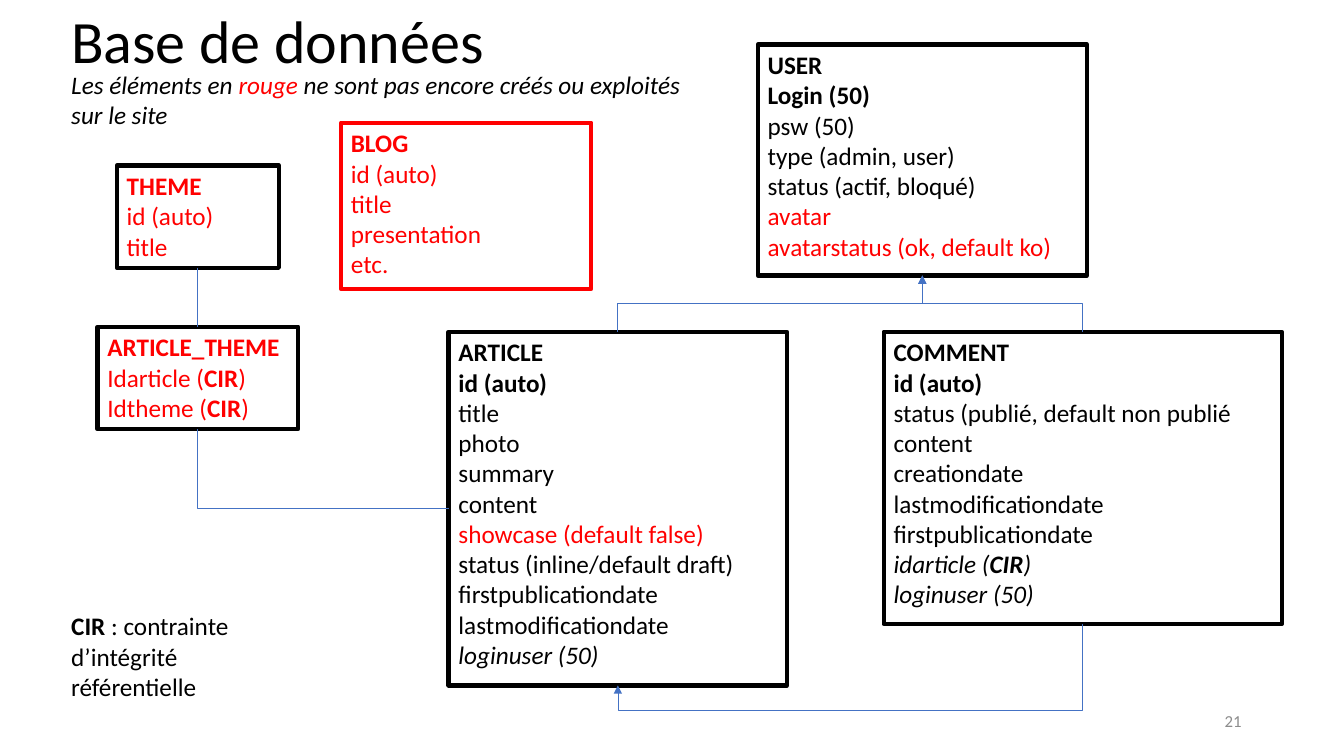
from pptx import Presentation
from pptx.dml.color import RGBColor
from pptx.enum.shapes import MSO_CONNECTOR, MSO_SHAPE
from pptx.enum.text import MSO_ANCHOR, PP_ALIGN
from pptx.oxml.ns import qn
from pptx.util import Inches, Pt
from lxml import etree

ELBOW, RECTANGLE = MSO_CONNECTOR.ELBOW, MSO_SHAPE.RECTANGLE
TOP, MIDDLE = MSO_ANCHOR.TOP, MSO_ANCHOR.MIDDLE
LEFT, RIGHT = PP_ALIGN.LEFT, PP_ALIGN.RIGHT
COLORS = {"black": "000000", "red": "FF0000", "link": "4472C4", "grey": "8C8C8C"}
FONT = "Calibri"
COLUMNS, ROWS = 160, 90
SLIDE_WIDTH, SLIDE_HEIGHT = Inches(13.333), Inches(7.5)
QUARTER_TURN = "5400000"

STYLES = {
    "plain": {},
    "bold": {"bold": True},
    "italic": {"italic": True},
    "bold italic": {"bold": True, "italic": True},
}


def fields(names, style="plain", color="black"):
    return [[(name, style, color)] for name in names]


def reference(name, style, strong, color):
    return [(f"{name} (", style, color), ("CIR", strong, color), (")", style, color)]


TABLES = {
    "user": ((90.2, 5.3, 39.2, 27.5), "black",
             fields(["USER", "Login (50)"], "bold")
             + fields(["psw (50)", "type (admin, user)", "status (actif, bloqué)"])
             + fields(["avatar", "avatarstatus (ok, default ko)"], color="red")),
    "article": ((53.4, 39.5, 40.3, 42.1), "black",
                fields(["ARTICLE", "id (auto)"], "bold")
                + fields(["title", "photo", "summary", "content"])
                + fields(["showcase (default false)"], color="red")
                + fields(["status (inline/default draft)", "firstpublicationdate",
                          "lastmodificationdate"])
                + fields(["loginuser (50)"], "italic")),
    "comment": ((105.2, 39.5, 47.4, 34.8), "black",
                fields(["COMMENT", "id (auto)"], "bold")
                + fields(["status (publié, default non publié", "content", "creationdate",
                          "lastmodificationdate", "firstpublicationdate"])
                + [reference("idarticle", "italic", "bold italic", "black")]
                + fields(["loginuser (50)"], "italic")),
    "theme": ((13.9, 19.7, 19.3, 12.2), "black",
              fields(["THEME"], "bold", "red") + fields(["id (auto)", "title"], color="red")),
    "article_theme": ((11.6, 38.9, 23.9, 12.2), "black",
                      fields(["ARTICLE_THEME"], "bold", "red")
                      + [reference(name, "plain", "bold", "red")
                         for name in ("Idarticle", "Idtheme")]),
    "blog": ((40.6, 14.6, 29.8, 19.8), "red",
             fields(["BLOG"], "bold", "red")
             + fields(["id (auto)", "title", "presentation", "etc."], color="red")),
}


def across(columns):
    return round(SLIDE_WIDTH * columns / COLUMNS)


def down(rows):
    return round(SLIDE_HEIGHT * rows / ROWS)


def place(box):
    left, top, width, height = box
    return across(left), down(top), across(width), down(height)


def write(frame, lines, size=18, anchor=TOP, align=LEFT, spacing=1.0):
    frame.word_wrap = True
    frame.vertical_anchor = anchor
    for index, line in enumerate(lines):
        paragraph = frame.paragraphs[0] if index == 0 else frame.add_paragraph()
        paragraph.alignment = align
        paragraph.line_spacing = spacing
        for text, style, color in line:
            run = paragraph.add_run()
            run.text = text
            run.font.color.rgb = RGBColor.from_string(COLORS[color])
            for name, value in {"name": FONT, "size": Pt(size), **STYLES[style]}.items():
                setattr(run.font, name, value)


def add_label(slide, box, line, **layout):
    write(slide.shapes.add_textbox(*place(box)).text_frame, [line], **layout)


def add_entity(slide, box, border, lines):
    entity = slide.shapes.add_shape(RECTANGLE, *place(box))
    entity.shadow.inherit = False
    entity.fill.background()
    entity.line.color.rgb = RGBColor.from_string(COLORS[border])
    entity.line.width = Pt(3)
    write(entity.text_frame, lines)


def edge(table, side):
    left, top, width, height = TABLES[table][0]
    shares = {"top": (0.5, 0), "bottom": (0.5, 1), "left": (0, 0.5)}
    share_x, share_y = shares[side]
    return across(left + width * share_x), down(top + height * share_y)


def add_relation(slide, start, end, arrow=True, bend=None, corner=False):
    (x1, y1), (x2, y2) = edge(*start), edge(*end)
    middle_x, middle_y = (x1 + x2) / 2, (y1 + y2) / 2
    half_x, half_y = (x2 - x1) / 2, (y2 - y1) / 2
    relation = slide.shapes.add_connector(
        ELBOW,
        round(middle_x - half_y), round(middle_y + half_x),
        round(middle_x + half_y), round(middle_y - half_x))
    relation.line.color.rgb = RGBColor.from_string(COLORS["link"])
    relation.line.width = Pt(0.5)
    properties = relation._element.spPr
    properties.find(qn("a:xfrm")).set("rot", QUARTER_TURN)
    geometry = properties.find(qn("a:prstGeom"))
    if corner:
        geometry.set("prst", "bentConnector2")
    if bend is not None:
        guides = geometry.find(qn("a:avLst"))
        etree.SubElement(guides, qn("a:gd"), name="adj1", fmla=f"val {round(bend * 100000)}")
    if arrow:
        etree.SubElement(properties.find(qn("a:ln")), qn("a:headEnd"), type="triangle")
    etree.SubElement(properties, qn("a:effectLst"))


def add_heading(slide, left, top):
    add_label(slide, (left, top, 53.2, 12.2), [("Base de données", "plain", "black")],
              size=42.9, anchor=MIDDLE, spacing=0.9)
    add_label(slide, (left, top + 8.4, 76.6, 8.5), [
        ("Les éléments en ", "italic", "black"),
        ("rouge", "italic", "red"),
        (" ne sont pas encore créés ou exploités sur le site", "italic", "black")])


def add_footer(slide, left, top):
    add_label(slide, (left, top, 29.8, 12.1), [
        ("CIR", "bold", "black"),
        (" : contrainte d’intégrité référentielle", "plain", "black")])
    add_label(slide, (113, top + 11.3, 36, 4.8), [("21", "plain", "grey")],
              size=12, anchor=MIDDLE, align=RIGHT)


def add_schema(slide):
    for box, border, lines in TABLES.values():
        add_entity(slide, box, border, lines)
    for owned in ("article", "comment"):
        add_relation(slide, ("user", "bottom"), (owned, "top"))
    add_relation(slide, ("article", "bottom"), ("comment", "bottom"), bend=-0.41)
    add_relation(slide, ("theme", "bottom"), ("article_theme", "top"), arrow=False)
    add_relation(slide, ("article_theme", "bottom"), ("article", "left"),
                 arrow=False, corner=True)


def main():
    deck = Presentation()
    deck.slide_width, deck.slide_height = SLIDE_WIDTH, SLIDE_HEIGHT
    slide = deck.slides.add_slide(deck.slide_layouts[6])
    add_heading(slide, 7.3, -0.8)
    add_schema(slide)
    add_footer(slide, 7.3, 72.1)
    deck.save("out.pptx")


if __name__ == "__main__":
    main()
